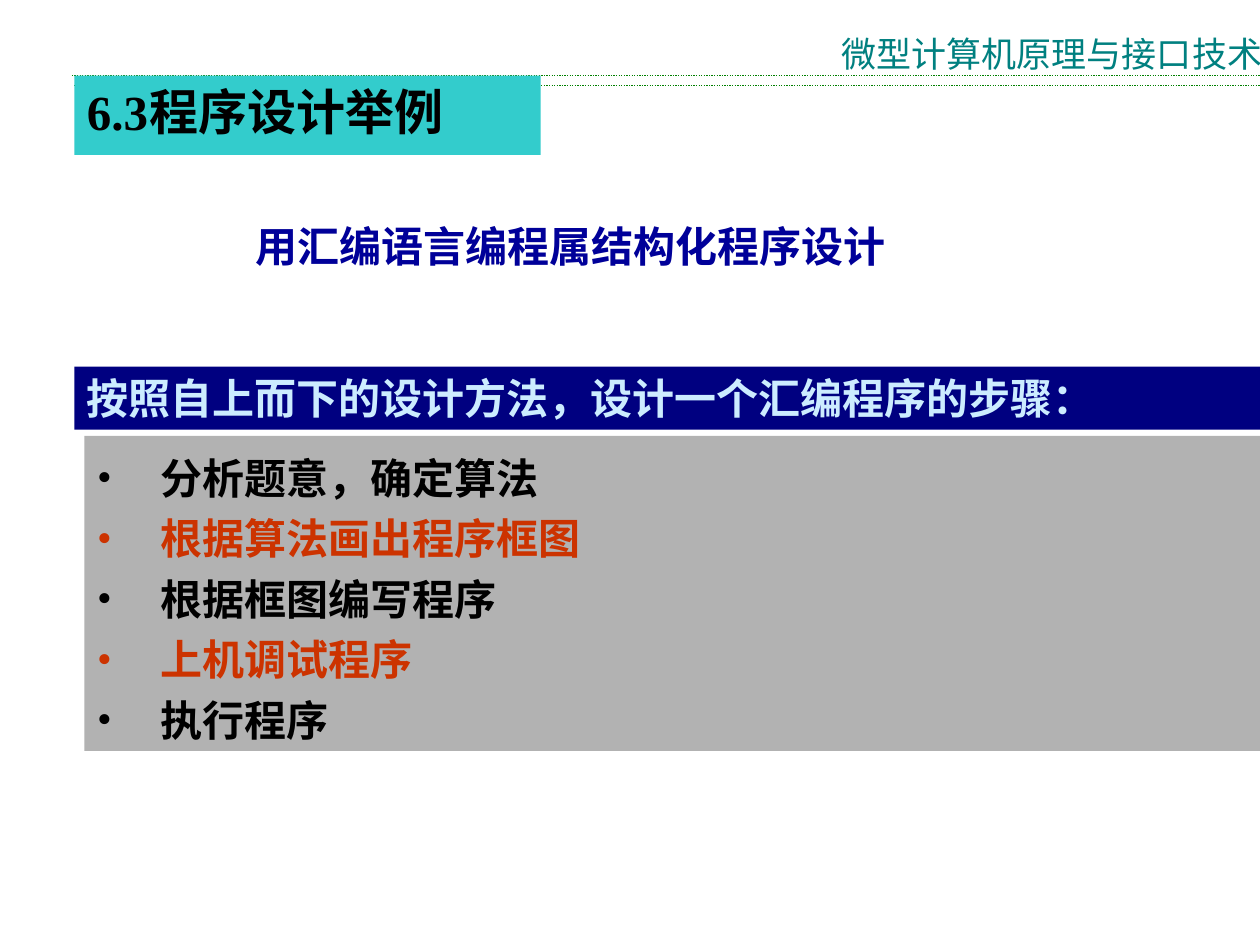
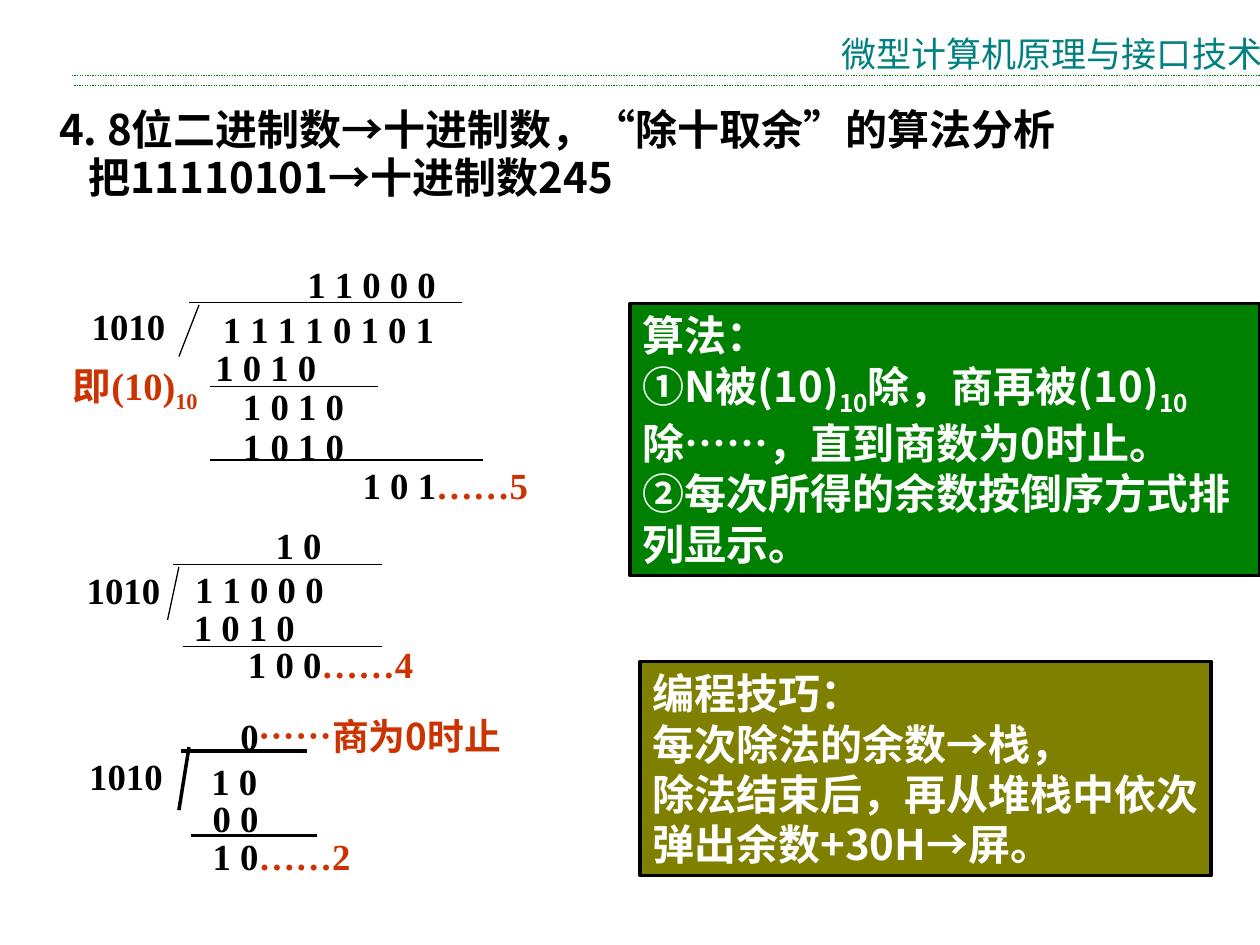
from lxml.etree import SubElement
from pptx import Presentation
from pptx.dml.color import RGBColor
from pptx.enum.dml import MSO_LINE
from pptx.enum.lang import MSO_LANGUAGE_ID
from pptx.enum.shapes import MSO_CONNECTOR, MSO_SHAPE
from pptx.enum.text import MSO_ANCHOR, MSO_AUTO_SIZE, PP_ALIGN
from pptx.oxml.ns import qn
from pptx.util import Inches, Pt

SANS = "Noto Sans CJK SC"
SERIF = "Times New Roman"
BLACK, WHITE, RED = "000000", "FFFFFF", "CC3300"
TEAL, GREEN, GRAY = "008080", "008000", "B2B2B2"


def color(code):
    return RGBColor.from_string(code)


def run(text, **look):
    return text, look


def row(*runs, **form):
    return runs, form


class Deck:
    def __init__(self):
        self.prs = Presentation()
        self.prs.slide_width = Inches(10)
        self.prs.slide_height = Inches(7.5)

    def page(self, layout):
        self.slide = self.prs.slides.add_slide(self.prs.slide_layouts[layout])
        self.host = self.slide.shapes
        for left, top in ((0.59, 0.68), (0.57, 0.6)):
            self.line(left, top, 10, top, ink=GREEN, dash=MSO_LINE.ROUND_DOT)
        self.label((6.58, 0.21, 3.42, 0.28), [row(run("微型计算机原理与接口技术"))],
                   wrap=False, size=20, ink=TEAL, bold=False)

    def group(self):
        self.host = self.slide.shapes.add_group_shape().shapes

    def line(self, x1, y1, x2, y2, ink=BLACK, width=0.75, dash=None):
        line = self.host.add_connector(
            MSO_CONNECTOR.STRAIGHT, Inches(x1), Inches(y1), Inches(x2), Inches(y2))
        line.line.color.rgb = color(ink)
        line.line.width = Pt(width)
        if dash:
            line.line.dash_style = dash
        SubElement(line.element.spPr, qn("a:effectLst"))

    def label(self, area, rows, wrap=True, **look):
        box = self.host.add_textbox(*map(Inches, area))
        self.fill_text(box, rows, wrap=wrap, **look)

    def panel(self, area, fill, rows, edge=None, **look):
        box = self.host.add_shape(MSO_SHAPE.RECTANGLE, *map(Inches, area))
        box.shadow.inherit = False
        self.paint(box, fill)
        if edge:
            box.line.color.rgb = color(edge)
            box.line.width = Pt(2)
        else:
            box.line.fill.background()
        self.fill_text(box, rows, **look)

    def holder(self, index, area, rows, fill=None, **look):
        box = self.slide.placeholders[index]
        box.left, box.top, box.width, box.height = map(Inches, area)
        box.element.getparent().append(box.element)
        if fill:
            self.paint(box, fill)
        self.fill_text(box, rows, **look)

    def paint(self, box, fill):
        box.fill.solid()
        box.fill.fore_color.rgb = color(fill)

    def fill_text(self, box, rows, anchor=MSO_ANCHOR.TOP, wrap=True, **look):
        frame = box.text_frame
        frame.auto_size = MSO_AUTO_SIZE.NONE
        frame.word_wrap = wrap
        frame.vertical_anchor = anchor
        for place, (runs, form) in enumerate(rows):
            para = frame.add_paragraph() if place else frame.paragraphs[0]
            self.layout(para, **form)
            for text, own in runs:
                self.add(para, text, **{**look, **own})

    def layout(self, para, indent=0, space=1, bullet=None, tab=None):
        props = para._p.get_or_add_pPr()
        props.set("marL", str(Inches(indent)))
        props.set("indent", str(-Inches(indent) if bullet else 0))
        if bullet:
            tint = SubElement(props, qn("a:buClr"))
            SubElement(tint, qn("a:srgbClr"), val=bullet)
            SubElement(props, qn("a:buFont"), typeface=SERIF)
            SubElement(props, qn("a:buChar"), char="•")
        if tab:
            tabs = SubElement(props, qn("a:tabLst"))
            SubElement(tabs, qn("a:tab"), pos=str(Inches(tab)), algn="l")
        para.alignment = PP_ALIGN.LEFT
        para.line_spacing = space
        para.space_before = para.space_after = Pt(0)

    def add(self, para, text, size=24, face=SANS, ink=BLACK, bold=True, sub=False):
        part = para.add_run()
        part.text = text
        font = part.font
        font.size, font.bold, font.name = Pt(size), bold, face
        font.color.rgb = color(ink)
        font.language_id = MSO_LANGUAGE_ID.SIMPLIFIED_CHINESE
        props = part._r.get_or_add_rPr()
        SubElement(props, qn("a:ea"), typeface=SANS)
        if sub:
            props.set("baseline", "-25000")

    def divide(self, area, rows, key, lines, width=0.75):
        self.group()
        self.label(area, rows, size=21, face=SERIF)
        for ends in lines:
            self.line(*ends, width=width)
        self.label((*key, 0.9, 0.45), [row(run("1010"))], size=21, face=SERIF)


def steps(deck):
    deck.page(1)
    deck.holder(0, (0.59, 0.6, 3.7, 0.63), [row(run("6.3\t程序设计举例"), tab=0.78)],
                fill="33CCCC", size=28, face=SERIF)
    deck.label((1.93, 1.7, 6.77, 0.99), [row(run("用汇编语言编程属结构化程序设计"))],
               ink="000099")
    tasks = ("分析题意，确定算法", "根据算法画出程序框图", "根据框图编写程序",
             "上机调试程序", "执行程序")
    rows = []
    for place, task in enumerate(tasks):
        ink = RED if place % 2 else BLACK
        rows.append(row(run(task, ink=ink), indent=0.5, space=1.2, bullet=ink))
    deck.holder(1, (0.67, 3.46, 9.33, 2.5), rows, fill=GRAY, face=SERIF,
                anchor=MSO_ANCHOR.MIDDLE)
    deck.panel((0.59, 2.91, 9.41, 0.5), "000080",
               [row(run("按照自上而下的设计方法，设计一个汇编程序的步骤："))],
               face="Arial", ink="CCECFF")


def binary(deck):
    deck.page(5)
    deck.holder(0, (0.37, 0.8, 8.6, 0.86), [
        row(run("4. 8位二进制数→十进制数，“除十取余”的算法分析"), space=0.95),
        row(run("把11110101→十进制数245"), indent=0.23, space=0.95)])
    ten = run("10", sub=True)
    deck.panel((5, 2.41, 5, 2.16), GREEN, [
        row(run("算法：")),
        row(run("①N被(10)"), ten, run("除，商再被(10)"), ten,
            run("除……，直到商数为0时止。")),
        row(run("②每次所得的余数按倒序方式排列显示。"))], edge=BLACK, ink=WHITE)
    deck.panel((5.08, 5.25, 4.53, 1.7), "808000", [
        row(run("编程技巧：")),
        row(run("每次除法的余数→栈，")),
        row(run("除法结束后，再从堆栈中依次弹出余数+30H→屏。"))], edge=BLACK, ink=WHITE)

    deck.divide((1.32, 2.07, 3.18, 2.01), [
        row(run("1 1 0 0 0"), indent=1.02, space=0.9),
        row(run("1 1 1 1 0 1 0 1"), indent=0.35, space=1.01),
        row(run("1 0 1 0"), indent=0.29, space=0.85),
        row(run("1 0 1 0"), indent=0.51, space=0.9),
        row(run("1 0 1 0"), indent=0.51, space=0.9),
        row(run("1 0 1"), run("……5", ink=RED), indent=1.46, space=0.9)],
        (0.63, 2.36),
        [(1.5, 2.4, 3.67, 2.4), (1.67, 3.07, 3, 3.07),
         (1.67, 3.65, 3.83, 3.65), (1.58, 2.42, 1.42, 2.83)])
    deck.label((0.48, 2.82, 1.35, 0.52), [row(run("即(10)"), ten)],
               size=22, face=SERIF, ink=RED)
    deck.divide((1.29, 4.15, 2.4, 1.35), [
        row(run("1 0"), indent=0.8, space=0.85),
        row(run("1 1 0 0 0"), indent=0.16, space=1.01),
        row(run("1 0 1 0"), indent=0.15, space=0.85),
        row(run("1 0 0"), run("……4", ink=RED), indent=0.58, space=0.85)],
        (0.59, 4.46),
        [(1.37, 4.48, 3.03, 4.48), (1.45, 5.13, 3.03, 5.13),
         (1.42, 4.5, 1.33, 4.92)])
    deck.divide((1.23, 5.67, 3.3, 1.35), [
        row(run("0"), run("……商为0时止", face=SANS, ink=RED), indent=0.58, space=0.85),
        row(run("1 0"), indent=0.35, space=1.01),
        row(run("0 0"), indent=0.36, space=0.85),
        row(run("1 0"), run("……2", ink=RED), indent=0.36, space=0.85)],
        (0.61, 5.93),
        [(1.44, 5.96, 2.44, 5.96), (1.52, 6.63, 2.52, 6.63),
         (1.5, 5.93, 1.42, 6.43)], width=2)


def main():
    deck = Deck()
    steps(deck)
    binary(deck)
    deck.prs.save("out.pptx")


if __name__ == "__main__":
    main()
